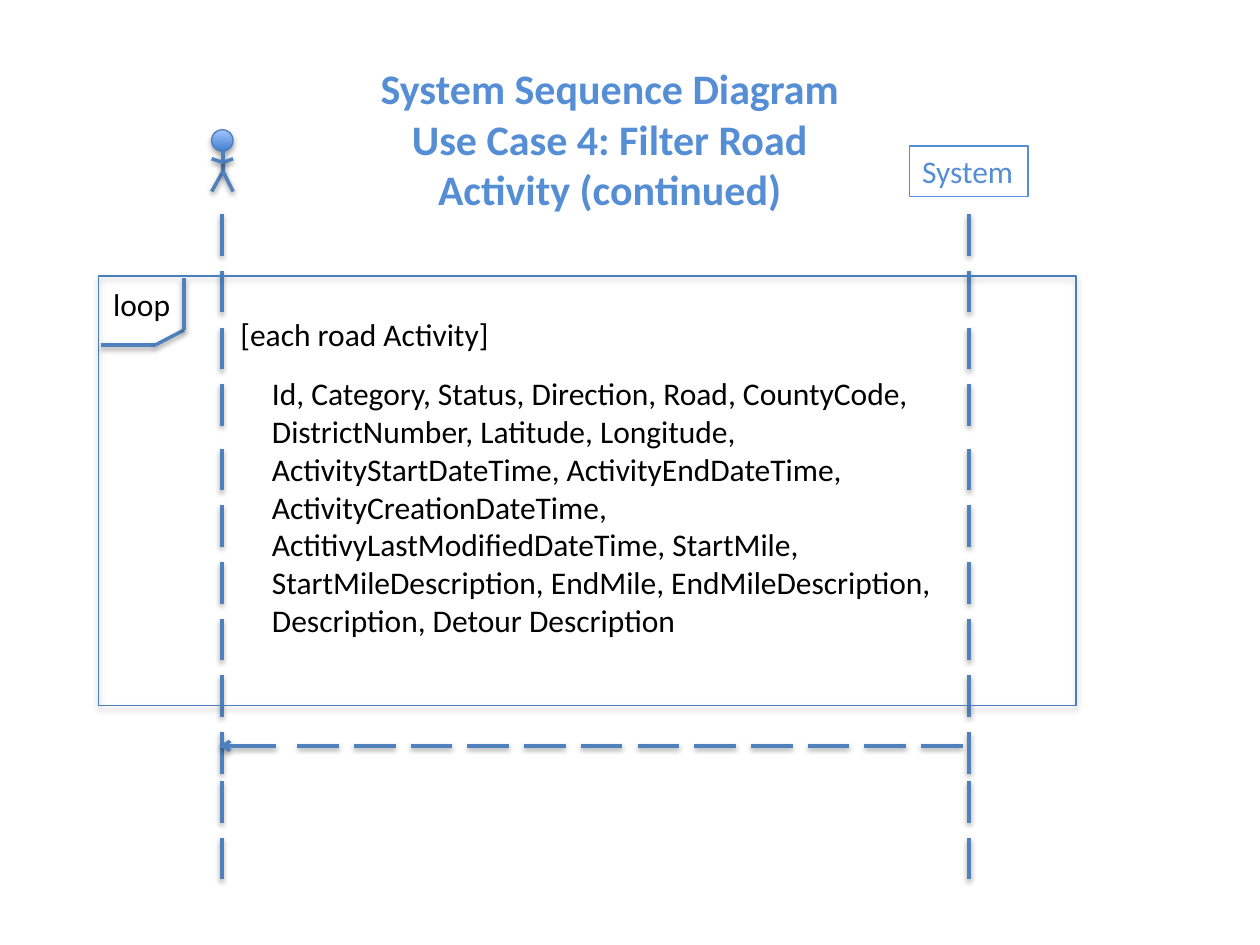
from typing import NamedTuple

from lxml.etree import SubElement
from pptx import Presentation
from pptx.dml.color import RGBColor
from pptx.enum.shapes import MSO_CONNECTOR, MSO_SHAPE
from pptx.enum.text import MSO_AUTO_SIZE, PP_ALIGN
from pptx.oxml.ns import qn
from pptx.util import Inches, Pt

BLUE = RGBColor(0x55, 0x8E, 0xD5)
STROKE = RGBColor(0x4F, 0x81, 0xBD)
OUTLINE = RGBColor(0x4B, 0x7E, 0xBC)
HEAD_DARK = RGBColor(0x3F, 0x80, 0xCE)
HEAD_LIGHT = RGBColor(0xA4, 0xC4, 0xFF)
BLACK = RGBColor(0, 0, 0)

DASH, PITCH = 0.33, 0.45
ACTOR_X, SYSTEM_X = 1.76, 7.69
RETURN_Y = 5.92


class Box(NamedTuple):
    left: float
    top: float
    width: float
    height: float


class Segment(NamedTuple):
    x1: float
    y1: float
    x2: float
    y2: float


class DashRun(NamedTuple):
    start: float
    count: int


LIFELINE_RUNS = [DashRun(1.7, 4), DashRun(3.56, 6), DashRun(6.2, 2)]
BODY = [
    Segment(1.77, 1.2, 1.77, 1.36),
    Segment(1.77, 1.36, 1.68, 1.52),
    Segment(1.77, 1.36, 1.85, 1.52),
    Segment(1.77, 1.29, 1.85, 1.26),
    Segment(1.77, 1.29, 1.68, 1.26),
]
LOOP_TAB = [
    Segment(0.8, 2.74, 1.23, 2.74),
    Segment(1.23, 2.74, 1.46, 2.62),
    Segment(1.46, 2.62, 1.46, 2.21),
]
FIELDS = [
    "Id, Category, Status, Direction, Road, CountyCode,",
    "DistrictNumber, Latitude, Longitude,",
    "ActivityStartDateTime, ActivityEndDateTime,",
    "ActivityCreationDateTime,",
    "ActitivyLastModifiedDateTime, StartMile,",
    "StartMileDescription, EndMile, EndMileDescription,",
    "Description, Detour Description",
]


def add_shadow(shape, distance: float, opacity: int) -> None:
    effects = SubElement(shape._element.spPr, qn("a:effectLst"))
    shadow = SubElement(effects, qn("a:outerShdw"), blurRad=str(Pt(3.1)),
                        dist=str(Pt(distance)), dir="5400000", rotWithShape="0")
    color = SubElement(shadow, qn("a:srgbClr"), val=str(BLACK))
    SubElement(color, qn("a:alpha"), val=str(opacity * 1000))


def add_line(shapes, seg: Segment, arrow: bool = False) -> None:
    line = shapes.add_connector(MSO_CONNECTOR.STRAIGHT, *map(Inches, seg))
    line.line.color.rgb = STROKE
    line.line.width = Pt(2)
    if arrow:
        ln = line._element.spPr.find(qn("a:ln"))
        SubElement(ln, qn("a:tailEnd"), type="arrow")
    add_shadow(line, 1.6, 38)


def add_outlined(shapes, kind: MSO_SHAPE, box: Box):
    sp = shapes.add_shape(kind, *map(Inches, box))
    sp.fill.background()
    sp.line.color.rgb = OUTLINE
    sp.line.width = Pt(0.75)
    return sp


def add_text(shapes, box: Box, lines: list[str], *, size: int = 18,
             color: RGBColor = BLACK, bold: bool = False, wrap: bool = False,
             align: PP_ALIGN = PP_ALIGN.LEFT):
    sp = shapes.add_textbox(*map(Inches, box))
    tf = sp.text_frame
    tf.word_wrap = wrap
    tf.auto_size = MSO_AUTO_SIZE.SHAPE_TO_FIT_TEXT
    for i, text in enumerate(lines):
        p = tf.add_paragraph() if i else tf.paragraphs[0]
        p.alignment = align
        r = p.add_run()
        r.text = text
        r.font.name = "Calibri"
        r.font.size = Pt(size)
        r.font.bold = bold
        r.font.color.rgb = color
    return sp


def add_lifeline(shapes, x: float) -> None:
    for run in LIFELINE_RUNS:
        for i in range(run.count):
            top = run.start + i * PITCH
            add_line(shapes, Segment(x, top, x, top + DASH))


def add_actor(shapes) -> None:
    head = add_outlined(shapes, MSO_SHAPE.OVAL, Box(1.68, 1.03, 0.17, 0.17))
    head.fill.gradient()
    head.fill.gradient_angle = 90
    for stop, color in zip(head.fill.gradient_stops, (HEAD_DARK, HEAD_LIGHT)):
        stop.color.rgb = color
    add_shadow(head, 1.8, 35)
    for seg in BODY:
        add_line(shapes, seg)


def add_return_message(shapes) -> None:
    dashes = shapes.add_group_shape().shapes
    for i in range(12):
        x = 7.64 - i * PITCH
        add_line(dashes, Segment(x, RETURN_Y, x - DASH, RETURN_Y))
    add_line(shapes, Segment(2.19, RETURN_Y, 1.74, RETURN_Y), arrow=True)


def main() -> None:
    prs = Presentation()
    prs.slide_width, prs.slide_height = Inches(10), Inches(7.5)
    s = prs.slides.add_slide(prs.slide_layouts[6])
    shapes = s.shapes

    add_text(shapes, Box(2.91, 0.45, 3.86, 1.31),
             ["System Sequence Diagram", "Use Case 4: Filter Road Activity (continued)"],
             size=24, color=BLUE, bold=True, wrap=True, align=PP_ALIGN.CENTER)
    for x in (ACTOR_X, SYSTEM_X):
        add_lifeline(shapes, x)
    add_actor(shapes.add_group_shape().shapes)
    system = add_text(shapes, Box(7.22, 1.16, 0.94, 0.4), ["System"], color=BLUE)
    system.line.color.rgb = BLUE
    system.line.width = Pt(0.75)

    add_text(shapes, Box(2.06, 2.92, 5.49, 2.22), FIELDS)
    frame = add_outlined(shapes, MSO_SHAPE.RECTANGLE, Box(0.78, 2.19, 7.76, 3.41))
    add_shadow(frame, 1.8, 35)
    add_text(shapes, Box(0.8, 2.21, 0.66, 0.4), ["loop"])
    for seg in LOOP_TAB:
        add_line(shapes, seg)
    add_text(shapes, Box(1.81, 2.45, 2.2, 0.4), ["[each road Activity]"])
    add_return_message(shapes)

    prs.save("out.pptx")


if __name__ == "__main__":
    main()
